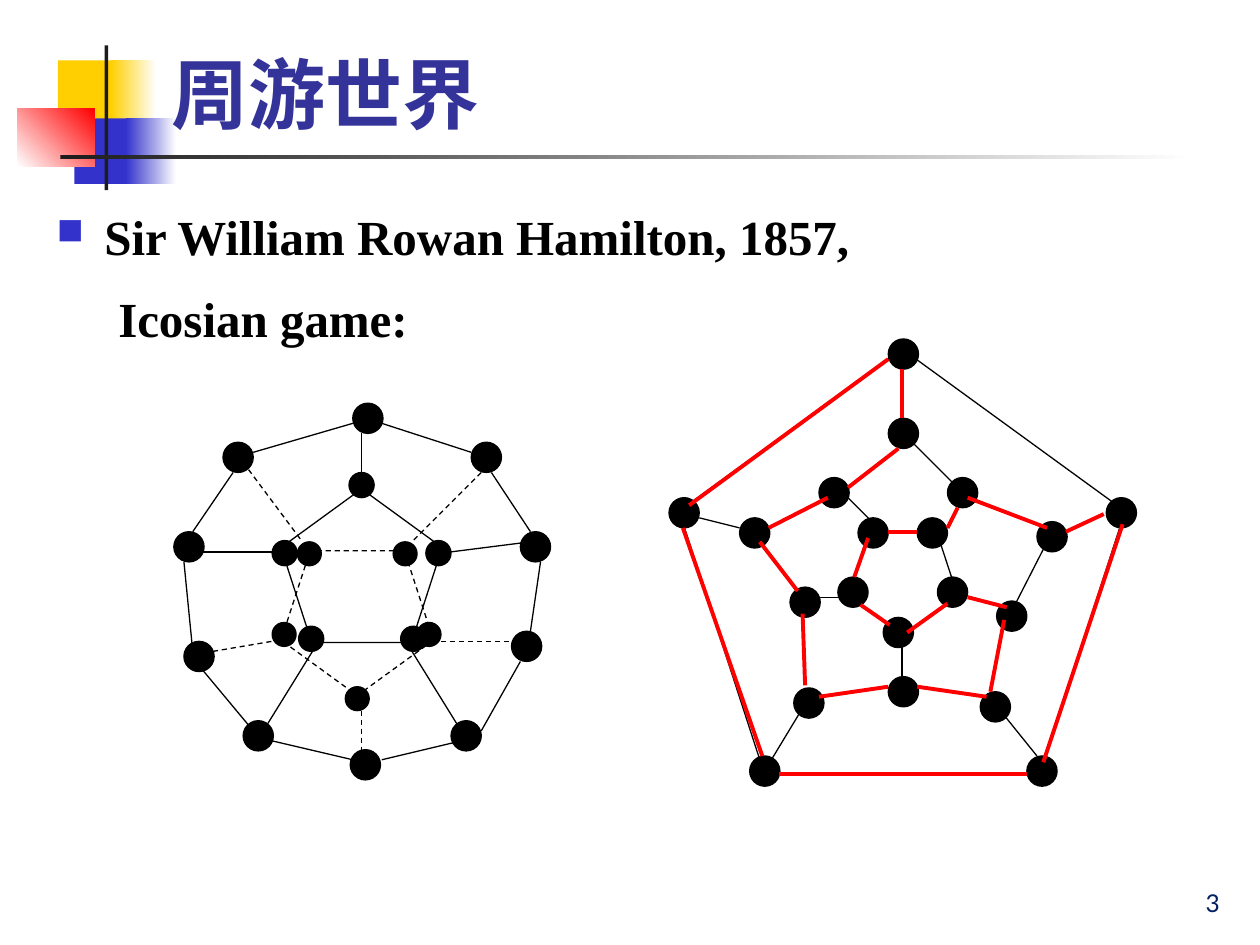
from dataclasses import dataclass
from lxml.etree import SubElement
from pptx import Presentation
from pptx.dml.color import RGBColor
from pptx.enum.dml import MSO_LINE
from pptx.enum.shapes import MSO_CONNECTOR, MSO_SHAPE
from pptx.enum.text import MSO_ANCHOR, PP_ALIGN
from pptx.oxml.ns import qn
from pptx.util import Pt

PX = 9144


@dataclass(frozen=True)
class Theme:
    gold: str = "FFCF01"
    blue: str = "3333CC"
    red: str = "FF0000"
    dark: str = "1C1C1C"
    white: str = "FFFFFF"
    black: str = "000000"
    title: str = "333399"
    number: str = "002060"
    sans: str = "Lato"
    serif: str = "Times New Roman"
    head: int = 44
    body: int = 28
    small: int = 14
    thin: float = 0.75
    thick: float = 2.25


T = Theme()


def rgb(code):
    return RGBColor.from_string(code)


def add_form(slide, kind, box, fill=None, fade=None, angle=0):
    form = slide.shapes.add_shape(kind, *(n * PX for n in box))
    form.shadow.inherit = False
    if fade:
        form.fill.gradient()
        form.fill.gradient_angle = angle
        for stop, code in zip(form.fill.gradient_stops, (fill, fade)):
            stop.color.rgb = rgb(code)
    elif fill:
        form.fill.solid()
        form.fill.fore_color.rgb = rgb(fill)
    else:
        form.fill.background()
    form.line.fill.background()
    return form


def set_line(line, code, width, dash):
    line.color.rgb = rgb(code)
    line.width = Pt(width)
    if dash:
        line.dash_style = MSO_LINE.DASH


def add_ring(slide, box, shape, flip=False, dash=False):
    x, y = box
    left, top, wide, high = shape
    ring = add_form(slide, MSO_SHAPE.REGULAR_PENTAGON, (x + left, y + top, wide, high))
    ring.rotation = 180 if flip else 0
    set_line(ring.line, T.black, T.thin, dash)


def add_dots(slide, box, size, spots):
    x, y = box
    for left, top in spots:
        dot = add_form(slide, MSO_SHAPE.OVAL, (x + left, y + top, size, size), T.black)
        set_line(dot.line, T.black, T.thin, False)


def add_edges(slide, box, ends, code=T.black, width=T.thin, dash=False):
    x, y = box
    for x1, y1, x2, y2 in ends:
        points = (x + x1, y + y1, x + x2, y + y2)
        edge = slide.shapes.add_connector(MSO_CONNECTOR.STRAIGHT, *(n * PX for n in points))
        set_line(edge.line, code, width, dash)
        SubElement(edge._element.spPr, qn("a:effectLst"))


def add_frame(slide, box, anchor):
    frame = slide.shapes.add_textbox(*(n * PX for n in box)).text_frame
    frame.word_wrap = True
    frame.vertical_anchor = anchor
    return frame


def add_run(para, text, face, size, code, bold=False):
    run = para.add_run()
    run.text = text
    run.font.name = face
    run.font.size = Pt(size)
    run.font.bold = bold
    run.font.color.rgb = rgb(code)


def draw_badge(slide, box):
    x, y = box
    parts = [
        ((32, 12, 48, 52), T.gold, None, 0),
        ((74, 12, 36, 52), T.gold, T.white, 0),
        ((45, 58, 46, 52), T.blue, None, 0),
        ((86, 58, 40, 52), T.blue, T.white, 0),
        ((0, 50, 61, 46), T.white, T.red, 45),
        ((69, 0, 3, 115), T.dark, None, 0),
        ((34, 87, 900, 3), T.dark, T.white, 0),
    ]
    for (left, top, wide, high), fill, fade, angle in parts:
        add_form(slide, MSO_SHAPE.RECTANGLE, (x + left, y + top, wide, high), fill, fade, angle)


def write_title(slide, box):
    frame = add_frame(slide, box, MSO_ANCHOR.BOTTOM)
    add_run(frame.paragraphs[0], "周游世界", T.sans, T.head, T.title, True)


def write_body(slide, box):
    frame = add_frame(slide, box, MSO_ANCHOR.TOP)
    first, second = frame.paragraphs[0], frame.add_paragraph()
    for para, left, hang in ((first, 38, -38), (second, 49, 0)):
        para.line_spacing = 1.1
        props = para._p.get_or_add_pPr()
        props.set("marL", str(left * PX))
        props.set("indent", str(hang * PX))
    second.space_before = Pt(10)
    props = first._p.get_or_add_pPr()
    tint = SubElement(props, qn("a:buClr"))
    SubElement(tint, qn("a:srgbClr"), val=T.blue)
    SubElement(props, qn("a:buSzPct"), val="75000")
    SubElement(props, qn("a:buChar"), char="■")
    add_run(first, "Sir William Rowan Hamilton, 1857,", T.serif, T.body, T.black, True)
    add_run(second, "Icosian game:", T.serif, T.body, T.black, True)


def draw_solid(slide, box):
    rim = [(8, 189), (142, 0), (140, 275), (236, 31), (0, 102),
           (39, 31), (55, 252), (275, 102), (268, 181), (220, 252)]
    front = [(180, 177), (99, 177), (200, 109), (78, 109), (139, 55)]
    back = [(98, 110), (174, 110), (193, 174), (78, 174), (136, 225)]
    edges = [(63, 39, 142, 16), (47, 55, 15, 102), (8, 126, 15, 197), (23, 212, 63, 260),
             (78, 268, 142, 283), (165, 283, 228, 268), (244, 260, 275, 205),
             (283, 181, 291, 126), (252, 55, 283, 102), (165, 16, 236, 39),
             (149, 24, 149, 55), (220, 118, 283, 110), (189, 197, 228, 260),
             (110, 197, 71, 260), (23, 118, 86, 118)]
    hidden = [(244, 55, 189, 110), (55, 47, 102, 110), (31, 197, 78, 189),
              (149, 244, 149, 283), (212, 189, 275, 189)]
    add_dots(slide, box, 24, rim)
    add_ring(slide, box, (85, 68, 128, 122))
    add_dots(slide, box, 20, front)
    add_ring(slide, box, (85, 117, 121, 115), flip=True, dash=True)
    add_dots(slide, box, 19, back)
    add_edges(slide, box, edges)
    add_edges(slide, box, hidden, dash=True)


def draw_tour(slide, box):
    dots = [(64, 331), (284, 331), (347, 126), (174, 0), (0, 126),
            (221, 110), (174, 268), (56, 142), (119, 110), (174, 63),
            (292, 145), (260, 208), (247, 280), (99, 277), (96, 197),
            (134, 189), (170, 221), (150, 142), (213, 189), (197, 142)]
    edges = [(24, 142, 56, 150), (297, 167, 273, 214), (292, 331, 267, 300),
             (80, 336, 103, 298), (193, 82, 229, 118), (142, 126, 166, 150),
             (111, 205, 142, 205), (185, 244, 185, 276)]
    route = [(79, 150, 126, 126), (142, 118, 182, 87), (185, 24, 185, 63),
             (345, 139, 315, 153), (266, 223, 255, 280), (108, 275, 106, 218),
             (102, 200, 72, 161), (237, 126, 300, 150), (119, 284, 174, 276),
             (197, 276, 252, 284), (229, 134, 221, 150), (237, 205, 268, 213),
             (174, 16, 16, 132), (11, 150, 74, 331), (284, 345, 87, 345),
             (360, 147, 297, 336), (174, 153, 197, 153), (158, 158, 147, 189),
             (152, 211, 175, 227), (189, 233, 221, 210)]
    add_ring(slide, box, (8, 8, 354, 337))
    add_ring(slide, box, (142, 153, 87, 82), flip=True)
    add_dots(slide, box, 24, dots)
    add_edges(slide, box, edges)
    add_edges(slide, box, route, T.red, T.thick)


def write_number(slide, box):
    para = add_frame(slide, box, MSO_ANCHOR.BOTTOM).paragraphs[0]
    para.alignment = PP_ALIGN.RIGHT
    add_run(para, "3", T.sans, T.small, T.number)


def main():
    deck = Presentation()
    deck.slide_width, deck.slide_height = 1000 * PX, 750 * PX
    slide = deck.slides.add_slide(deck.slide_layouts[6])
    draw_badge(slide, (14, 36))
    write_title(slide, (126, 8, 852, 107))
    write_body(slide, (35, 154, 929, 575))
    draw_solid(slide, (138, 320))
    draw_tour(slide, (531, 269))
    write_number(slide, (770, 683, 208, 50))
    deck.save("out.pptx")


if __name__ == "__main__":
    main()
